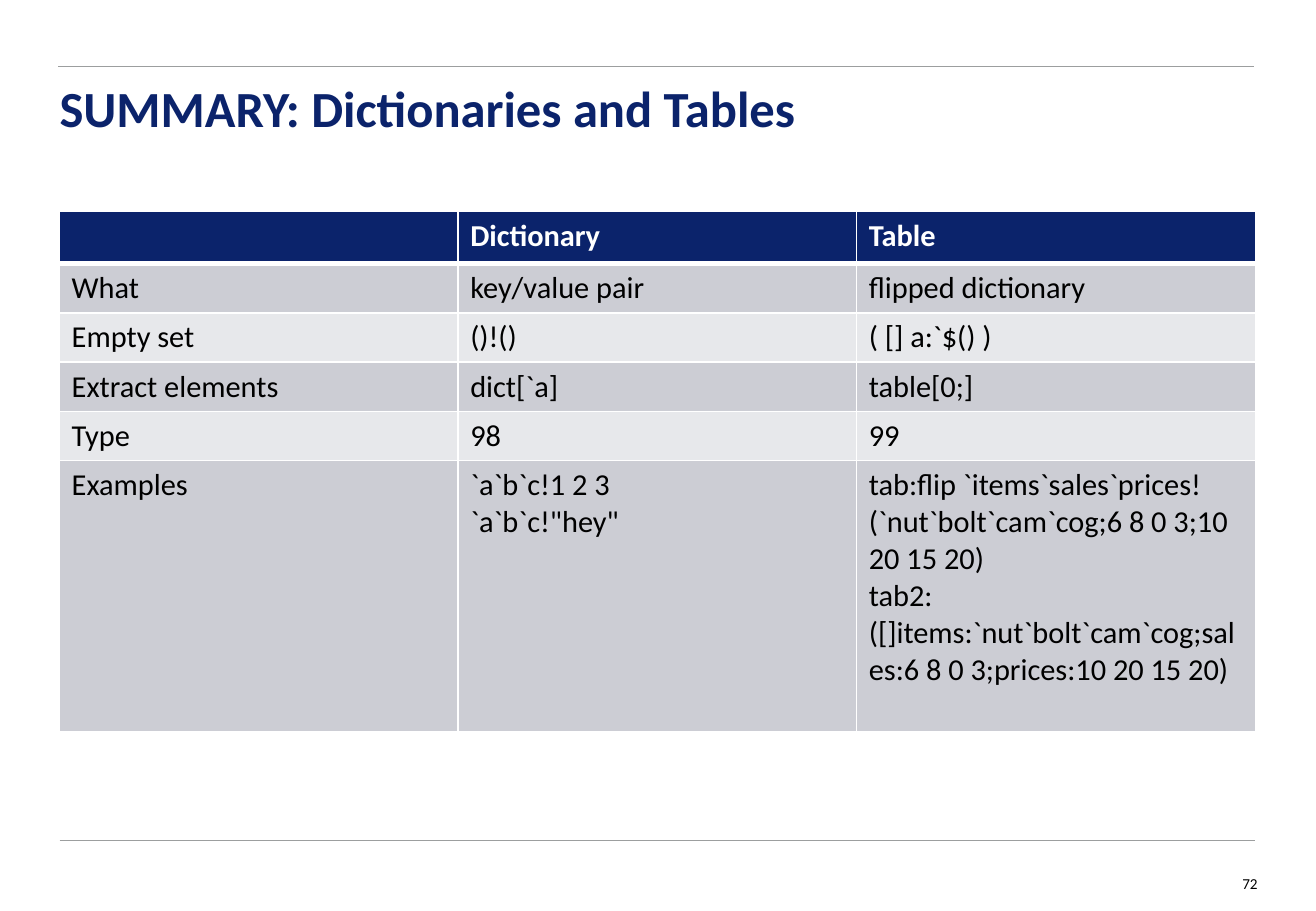
import pptx
import pptx.dml.color
import pptx.enum.shapes
import pptx.enum.text
import pptx.oxml
import pptx.oxml.ns
import pptx.util
from lxml import etree

Inches, Pt = pptx.util.Inches, pptx.util.Pt
Align, Anchor = pptx.enum.text.PP_ALIGN, pptx.enum.text.MSO_ANCHOR

# Content
TITLE = "SUMMARY: Dictionaries and Tables"
PAGE_NUMBER = "72"
ROWS = [
    ("", "Dictionary", "Table"),
    ("What", "key/value pair", "flipped dictionary"),
    ("Empty set", "()!()", "( [] a:`$() )"),
    ("Extract elements", "dict[`a]", "table[0;]"),
    ("Type", "98", "99"),
    ("Examples",
     "`a`b`c!1 2 3\n`a`b`c!\"hey\"",
     "tab:flip `items`sales`prices!(`nut`bolt`cam`cog;6 8 0 3;10 20 15 20)\n"
     "tab2:([]items:`nut`bolt`cam`cog;sales:6 8 0 3;prices:10 20 15 20)"),
]

# Style and layout
NAVY, WHITE, BLACK, RULE_GREY = "0B236B", "FFFFFF", "000000", "9C9E9F"
BANDS = ("CCCDD4", "E7E8EB")
LEFT, WIDTH = 0.49, 9.84
RULES = [(0.48, 0.55), (0.49, 6.92)]
HEADER_HEIGHT, ROW_HEIGHT, LAST_HEIGHT = 0.43, 0.4, 2.23


def rgb(value):
    return pptx.dml.color.RGBColor.from_string(value)


def write(frame, text, size=18, color=BLACK, bold=False, align=Align.LEFT, spacing=None):
    frame.word_wrap = True
    frame.text = text
    for paragraph in frame.paragraphs:
        paragraph.alignment = align
        if spacing:
            paragraph.line_spacing = spacing
        font = paragraph.font
        font.name, font.size, font.bold = "Calibri", Pt(size), bold
        font.color.rgb = rgb(color)
        for run in paragraph.runs:
            run.font.name, run.font.size, run.font.bold = "Calibri", Pt(size), bold
            run.font.color.rgb = rgb(color)


def clear_insets(frame, anchor):
    frame.margin_left = frame.margin_top = frame.margin_right = frame.margin_bottom = 0
    frame.vertical_anchor = anchor
    frame.auto_size = pptx.enum.text.MSO_AUTO_SIZE.NONE


def set_borders(cell, top, bottom):
    properties = cell._tc.get_or_add_tcPr()
    for side, width in (("L", 1), ("R", 1), ("T", top), ("B", bottom)):
        properties.append(pptx.oxml.parse_xml(
            f'<a:ln{side} {pptx.oxml.ns.nsdecls("a")} w="{Pt(width)}"><a:solidFill>'
            f'<a:srgbClr val="{WHITE}"/></a:solidFill></a:ln{side}>'))


presentation = pptx.Presentation()
presentation.slide_width, presentation.slide_height = Inches(10.83), Inches(7.5)
slide = presentation.slides.add_slide(presentation.slide_layouts[5])

# Rules above and below the content
for x, y in RULES:
    rule = slide.shapes.add_connector(
        pptx.enum.shapes.MSO_CONNECTOR.STRAIGHT,
        Inches(x), Inches(y), Inches(x + WIDTH), Inches(y))
    rule.line.color.rgb = rgb(RULE_GREY)
    rule.line.width = Pt(0.5)
    etree.SubElement(rule._element.spPr, pptx.oxml.ns.qn("a:effectLst"))

# Title
title = slide.shapes.title
title.left, title.top = Inches(LEFT), Inches(0.69)
title.width, title.height = Inches(WIDTH), Inches(0.89)
clear_insets(title.text_frame, Anchor.TOP)
write(title.text_frame, TITLE, size=30, color=NAVY, bold=True, spacing=0.9)

# Comparison table
heights = [HEADER_HEIGHT] + [ROW_HEIGHT] * (len(ROWS) - 2) + [LAST_HEIGHT]
table = slide.shapes.add_table(
    len(ROWS), len(ROWS[0]), Inches(LEFT), Inches(1.74),
    Inches(WIDTH), Inches(sum(heights))).table
for row_index, (texts, height) in enumerate(zip(ROWS, heights)):
    table.rows[row_index].height = Inches(height)
    is_header = row_index == 0
    for column_index, text in enumerate(texts):
        cell = table.cell(row_index, column_index)
        set_borders(cell, top=3 if row_index == 1 else 1, bottom=3 if is_header else 1)
        cell.fill.solid()
        cell.fill.fore_color.rgb = rgb(NAVY if is_header else BANDS[(row_index - 1) % 2])
        write(cell.text_frame, text, color=WHITE if is_header else BLACK, bold=is_header)

# Page number
number = slide.shapes.add_textbox(Inches(9.9), Inches(7.21), Inches(0.45), Inches(0.12))
clear_insets(number.text_frame, Anchor.MIDDLE)
write(number.text_frame, PAGE_NUMBER, size=9, align=Align.RIGHT)

presentation.save("out.pptx")
